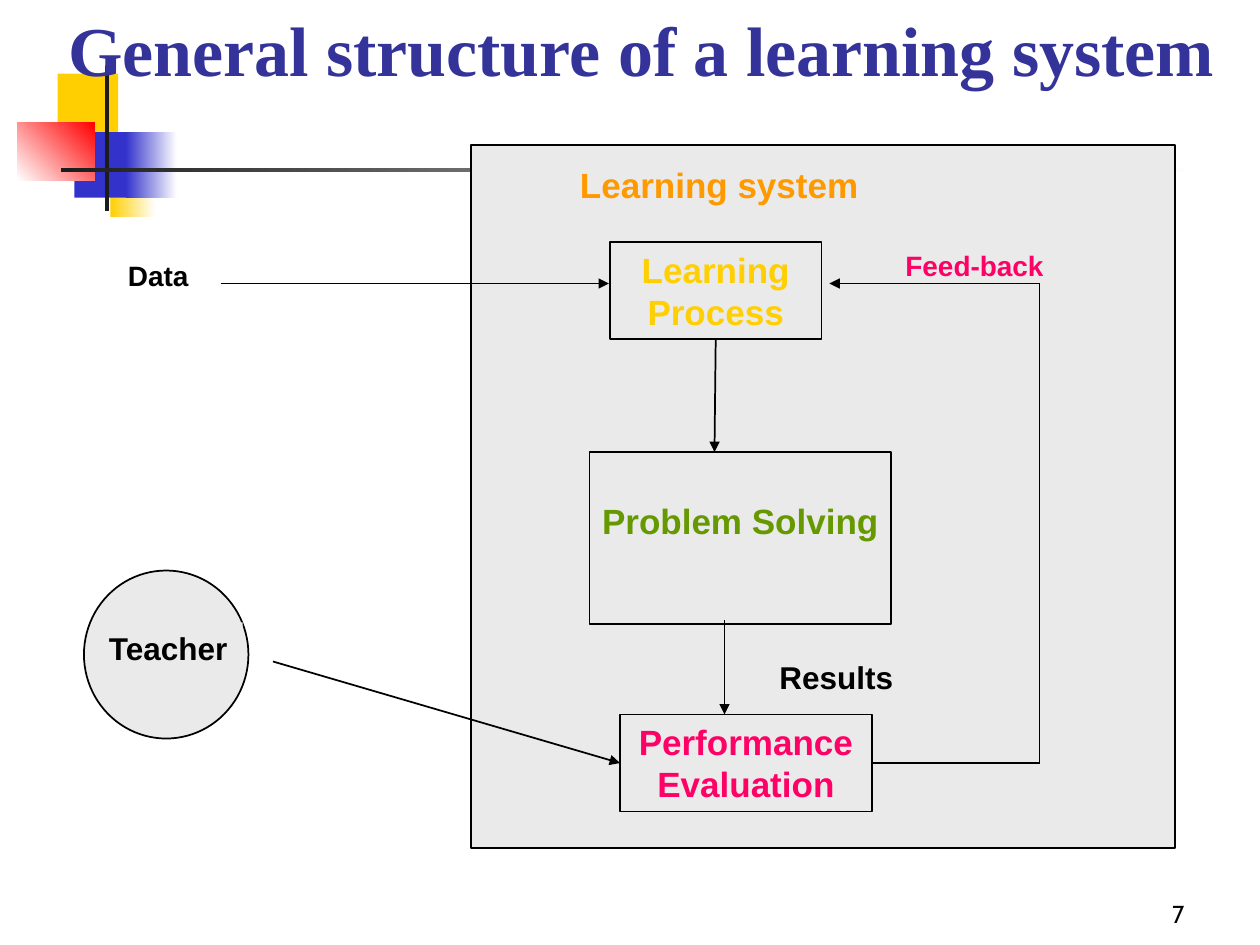
import pptx
import pptx.util
import pptx.dml.color
import pptx.enum.shapes
import pptx.enum.text
import pptx.oxml
import pptx.oxml.ns
import lxml.etree

Pt = pptx.util.Pt
SHAPE = pptx.enum.shapes.MSO_SHAPE
ALIGN = pptx.enum.text.PP_ALIGN
ANCHOR = pptx.enum.text.MSO_ANCHOR

COLORS = {
    "title": "333399", "black": "000000", "white": "FFFFFF", "panel": "EAEAEA",
    "gold": "FFCF01", "blue": "3333CC", "red": "FF0000", "ink": "1C1C1C",
    "orange": "FF9900", "green": "669900", "pink": "FF0066",
}


def rgb(name):
    """Return the named colour."""
    return pptx.dml.color.RGBColor.from_string(COLORS[name])


def style_text(frame, text, size, color, font="Arial", bold=True,
               align=ALIGN.LEFT, anchor=ANCHOR.TOP, wrap=False):
    """Write text into a frame and format all of its runs."""
    frame.text = text
    frame.word_wrap = wrap
    frame.auto_size = pptx.enum.text.MSO_AUTO_SIZE.NONE
    frame.vertical_anchor = anchor
    for paragraph in frame.paragraphs:
        paragraph.alignment = align
        for run in paragraph.runs:
            run.font.name = font
            run.font.size = Pt(size)
            run.font.bold = bold
            run.font.color.rgb = rgb(color)


def add_label(slide, box, text, size, color, **style):
    """Add a plain text label."""
    label = slide.shapes.add_textbox(*map(Pt, box))
    style_text(label.text_frame, text, size, color, **style)
    return label


def add_block(slide, box, fill=None, fade=None, angle=0, outlined=False,
              kind=SHAPE.RECTANGLE):
    """Add a shape with a solid, fading or empty fill."""
    block = slide.shapes.add_shape(kind, *map(Pt, box))
    block.shadow.inherit = False
    if fade:
        block.fill.gradient()
        block.fill.gradient_angle = angle
        for stop, name, position in zip(block.fill.gradient_stops, (fill, fade), (0, 1)):
            stop.color.rgb = rgb(name)
            stop.position = position
    elif fill:
        block.fill.solid()
        block.fill.fore_color.rgb = rgb(fill)
    else:
        block.fill.background()
    if outlined:
        block.line.color.rgb = rgb("black")
        block.line.width = Pt(1)
    else:
        block.line.fill.background()
    return block


def add_line(slide, start, end, arrow=True):
    """Add a straight black line, with an arrowhead at its end if asked."""
    line = slide.shapes.add_connector(
        pptx.enum.shapes.MSO_CONNECTOR.STRAIGHT, *map(Pt, start + end))
    line.line.color.rgb = rgb("black")
    line.line.width = Pt(1)
    if arrow:
        lxml.etree.SubElement(line.line._get_or_add_ln(),
                              pptx.oxml.ns.qn("a:tailEnd"), type="triangle")
    lxml.etree.SubElement(line.element.spPr, pptx.oxml.ns.qn("a:effectLst"))
    return line


def add_emblem(slide, left, top):
    """Draw the coloured squares and the crossing rules."""
    parts = [
        ((23, 4.5, 34.5, 37.5), "gold", None, 0),
        ((53, 49, 26, 37.5), "gold", "white", 0),
        ((32.5, 38, 33, 37.5), "blue", None, 0),
        ((62, 38, 29, 37.5), "blue", "white", 0),
        ((0, 32.5, 44, 33), "white", "red", 45),
        ((50, 0, 2.3, 83), "ink", None, 0),
        ((25, 58.5, 648, 2.3), "ink", "white", 0),
    ]
    for (x, y, width, height), fill, fade, angle in parts:
        add_block(slide, (left + x, top + y, width, height), fill, fade, angle)


def add_learning_system(slide, left, top, width, height):
    """Draw the panel with its three stages and feedback; return the evaluation stage."""
    add_block(slide, (left, top, width, height), "panel", outlined=True)
    add_label(slide, (left + 55, top + 7.2, 173.5, 31.7), "Learning system", 20, "orange")

    def stage(box, text, color):
        block = add_block(slide, (left + box[0], top + box[1]) + box[2:], outlined=True)
        style_text(block.text_frame, text, 20, color, align=ALIGN.CENTER)
        return block

    learning = stage((79.2, 55.5, 121, 55.5), "Learning\nProcess", "gold")
    solving = stage((67.5, 175.5, 172.5, 98.5), "Problem Solving", "green")
    solving.text_frame.margin_top = Pt(27)
    evaluation = stage((85, 325.5, 144, 55.5), "Performance\nEvaluation", "pink")

    to_solving = add_line(slide, (left + 139, top + 111), (left + 139, top + 175.5))
    to_solving.begin_connect(learning, 2)
    add_line(slide, (left + 144.7, top + 271.5), (left + 144.7, top + 325.5))
    add_label(slide, (left + 169, top + 289.5, 79.5, 29), "Results", 18, "black")

    feedback_x, feedback_y = left + 324.7, top + 79.2
    result_y = top + 325.5 + 55.5 / 2
    from_evaluation = add_line(slide, (left + 229, result_y), (feedback_x, result_y), arrow=False)
    from_evaluation.begin_connect(evaluation, 3)
    add_line(slide, (feedback_x, result_y), (feedback_x, feedback_y), arrow=False)
    add_line(slide, (feedback_x, feedback_y), (left + 204.7, feedback_y))
    add_label(slide, (left + 241, top + 55.5, 93, 26.6), "Feed-back", 16, "pink")
    return evaluation


def add_teacher(slide, left, top, width, height, evaluation):
    """Draw the teacher and the arrow to the evaluation stage."""
    add_block(slide, (left, top, width, height), "panel", outlined=True, kind=SHAPE.OVAL)
    name = add_block(slide, (left + 7.2, top + 29.7, 83.5, 28.8), "panel")
    style_text(name.text_frame, "Teacher", 18, "black")
    guidance = add_line(slide, (left + 108, top + 52), (left + 306, top + 110))
    guidance.end_connect(evaluation, 1)


def add_data_input(slide, left, top, width):
    """Draw the data label and the arrow into the learning process."""
    add_label(slide, (left, top, 49, 26.6), "Data", 16, "black")
    add_line(slide, (left + 60, top + 18), (left + width, top + 18))


def add_title(slide, left, top, width, height):
    """Place the title in front of the emblem."""
    title = slide.shapes.title
    title.left, title.top, title.width, title.height = map(Pt, (left, top, width, height))
    style_text(title.text_frame, "General structure of a learning system",
               40, "title", font="Times New Roman")
    title.element.getparent().append(title.element)


def main():
    """Build and save the slide."""
    deck = pptx.Presentation()
    deck.slide_width, deck.slide_height = Pt(720), Pt(540)
    slide = deck.slides.add_slide(deck.slide_layouts[5])
    add_emblem(slide, 10, 37.5)
    add_label(slide, (534, 498, 150, 36), "7", 14, "black", font="Cabin", bold=False,
              align=ALIGN.RIGHT, anchor=ANCHOR.BOTTOM, wrap=True)
    evaluation = add_learning_system(slide, 269.3, 82.8, 402, 402)
    add_teacher(slide, 48, 326, 94, 96, evaluation)
    add_data_input(slide, 66, 144, 282)
    add_title(slide, 31.7, 0, 670.3, 55.5)
    deck.save("out.pptx")


if __name__ == "__main__":
    main()
